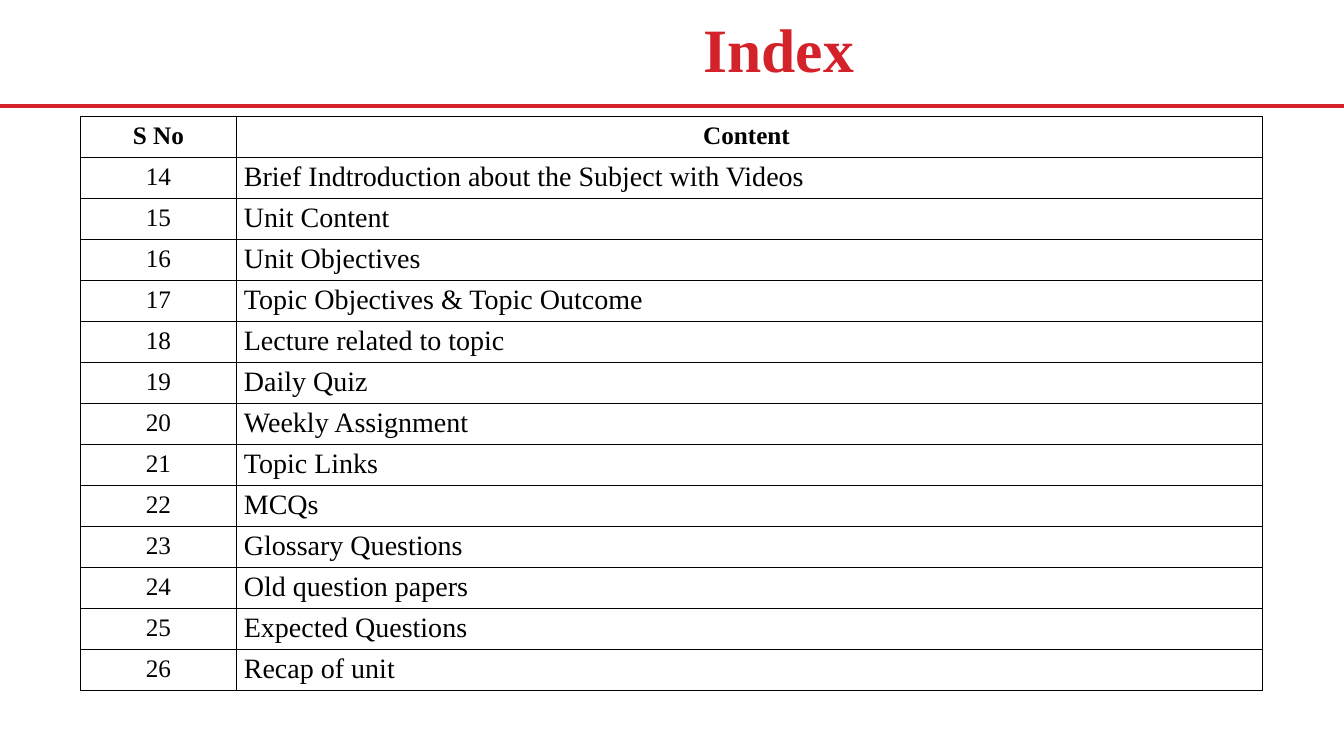
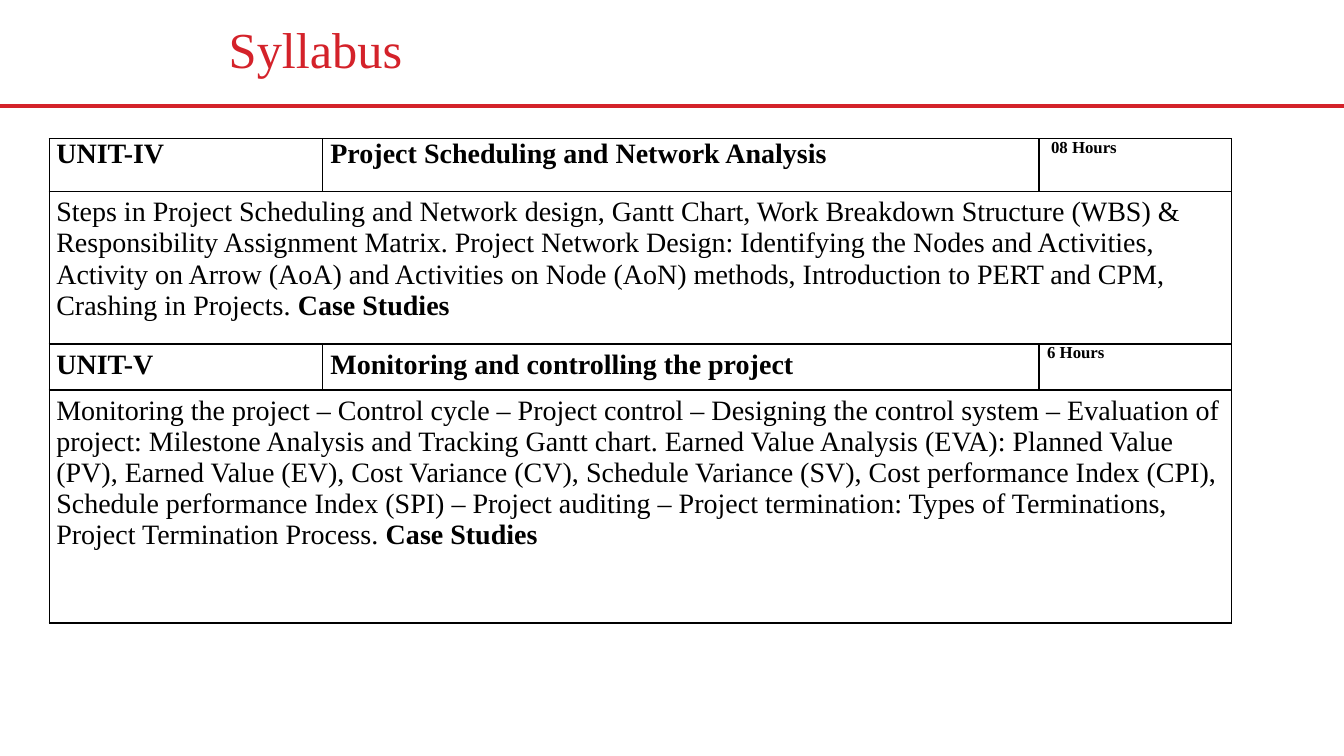
from dataclasses import dataclass

from lxml import etree
from pptx import Presentation
from pptx.dml.color import RGBColor
from pptx.enum.shapes import MSO_CONNECTOR
from pptx.enum.text import MSO_ANCHOR, PP_ALIGN
from pptx.oxml.ns import qn
from pptx.util import Pt

STRAIGHT = MSO_CONNECTOR.STRAIGHT
MIDDLE = MSO_ANCHOR.MIDDLE
LEFT, CENTER = PP_ALIGN.LEFT, PP_ALIGN.CENTER


# Colours, font and type sizes
@dataclass(frozen=True)
class Theme:
    font: str = "Times New Roman"
    red: RGBColor = RGBColor(0xD4, 0x22, 0x2A)
    black: RGBColor = RGBColor(0, 0, 0)
    white: RGBColor = RGBColor(0xFF, 0xFF, 0xFF)
    index_title: int = 44
    title: int = 36
    body: int = 20
    label: int = 18
    small: int = 12
    rule: int = 3
    border: int = 1


class SlideWriter:
    def __init__(self, theme):
        self.theme = theme
        self.deck = Presentation()
        self.deck.slide_width, self.deck.slide_height = Pt(960), Pt(540)
        self.layout = self.deck.slide_layouts.get_by_name("Title Only")
        title = self.layout.placeholders[0]
        title.left, title.top, title.width, title.height = Pt(156.2), Pt(7.2), Pt(800), Pt(60.5)
        title.text_frame.vertical_anchor = MIDDLE
        self.page = None

    def add_page(self, title, size, align=LEFT, bold=False):
        self.page = self.deck.slides.add_slide(self.layout)
        self.rule(75.6)
        para = self.page.shapes.title.text_frame.paragraphs[0]
        para.alignment = align
        para.line_spacing = 0.9
        self.span(para, title, size, bold, self.theme.red)

    def rule(self, top):
        line = self.page.shapes.add_connector(STRAIGHT, Pt(0), Pt(top), self.deck.slide_width, Pt(top))
        line.line.color.rgb = self.theme.red
        line.line.width = Pt(self.theme.rule)
        etree.SubElement(line.element.spPr, qn("a:effectLst"))

    def span(self, para, text, size, bold=False, color=None):
        span = para.add_run()
        span.text = text
        font = span.font
        font.name, font.size, font.bold = self.theme.font, Pt(size), bold
        font.color.rgb = color or self.theme.black

    def table(self, left, top, columns, rows):
        frame = self.page.shapes.add_table(
            len(rows), len(columns), Pt(left), Pt(top), Pt(sum(columns)), Pt(sum(rows)))
        table = frame.table
        table.first_row = table.horz_banding = False
        for column, width in zip(table.columns, columns):
            column.width = Pt(width)
        for row, height in zip(table.rows, rows):
            row.height = Pt(height)
        for cell in table.iter_cells():
            cell.fill.solid()
            cell.fill.fore_color.rgb = self.theme.white
            self.borders(cell)
        return table

    def borders(self, cell):
        properties = cell._tc.get_or_add_tcPr()
        for place, side in enumerate(("a:lnL", "a:lnR", "a:lnT", "a:lnB")):
            line = etree.Element(qn(side), w=str(Pt(self.theme.border)))
            fill = etree.SubElement(line, qn("a:solidFill"))
            etree.SubElement(fill, qn("a:srgbClr"), val=str(self.theme.black))
            properties.insert(place, line)

    def cell(self, cell, spans, size, align=LEFT, margins=None):
        """Fill a cell with (text, bold) spans; margins are left, top, right, bottom."""
        if margins:
            (cell.margin_left, cell.margin_top,
             cell.margin_right, cell.margin_bottom) = map(Pt, margins)
        para = cell.text_frame.paragraphs[0]
        para.alignment = align
        for text, bold in spans:
            self.span(para, text, size, bold)


# Slide content
FIRST_NUMBER = 14
TOPICS = (
    "Brief Indtroduction about the Subject with Videos",
    "Unit Content",
    "Unit Objectives",
    "Topic Objectives & Topic Outcome",
    "Lecture related to topic",
    "Daily Quiz",
    "Weekly Assignment",
    "Topic Links",
    "MCQs",
    "Glossary Questions",
    "Old question papers",
    "Expected Questions",
    "Recap of unit",
)
# Unit, heading, hours, indent of hours, top margin of heading, description
UNITS = (
    ("UNIT-IV", "Project Scheduling and Network Analysis", "08 Hours", 8.6, 0,
     "Steps in Project Scheduling and Network design, Gantt Chart, Work Breakdown Structure "
     "(WBS) & Responsibility Assignment Matrix. Project Network Design: Identifying the Nodes "
     "and Activities, Activity on Arrow (AoA) and Activities on Node (AoN) methods, "
     "Introduction to PERT and CPM, Crashing in Projects. "),
    ("UNIT-V", "Monitoring and controlling the project", "6 Hours", 5.8, 3.6,
     "Monitoring the project – Control cycle – Project control – Designing the control system "
     "– Evaluation of project: Milestone Analysis and Tracking Gantt chart. Earned Value "
     "Analysis (EVA): Planned Value (PV), Earned Value (EV), Cost Variance (CV), Schedule "
     "Variance (SV), Cost performance Index (CPI), Schedule performance Index (SPI) – Project "
     "auditing – Project termination: Types of Terminations, Project Termination Process. "),
)


def index_page(writer):
    theme = writer.theme
    writer.add_page("Index", theme.index_title, CENTER, bold=True)
    table = writer.table(57.4, 83.3, (111.6, 733), [29.3] * (len(TOPICS) + 1))
    for column, heading in enumerate(("S No", "Content ")):
        writer.cell(table.cell(0, column), [(heading, True)], theme.label, CENTER)
    for row, topic in enumerate(TOPICS, 1):
        number = str(FIRST_NUMBER + row - 1)
        writer.cell(table.cell(row, 0), [(number, False)], theme.label, CENTER)
        writer.cell(table.cell(row, 1), [(topic, False)], theme.body, margins=(5.2, 2.6, 5.2, 2.6))


def syllabus_page(writer):
    theme = writer.theme
    writer.add_page("Syllabus", theme.title)
    table = writer.table(35.2, 99, (195, 512, 137.2), (38, 108.7, 32.9, 166.4))
    for unit, (name, heading, hours, indent, top, description) in enumerate(UNITS):
        row = 2 * unit
        writer.cell(table.cell(row, 0), [(name, True)], theme.body, margins=(5, top, 0, 0))
        writer.cell(table.cell(row, 1), [(heading, True)], theme.body, margins=(5.8, top, 0, 0))
        writer.cell(table.cell(row, 2), [(hours, True)], theme.small, margins=(indent, 0, 0, 0))
        details = table.cell(row + 1, 0)
        details.merge(table.cell(row + 1, 2))
        writer.cell(details, [(description, False), ("Case Studies", True)], theme.body,
                    margins=(5, 3.6, 0, 0))


def main():
    writer = SlideWriter(Theme())
    index_page(writer)
    syllabus_page(writer)
    writer.deck.save("out.pptx")


if __name__ == "__main__":
    main()
